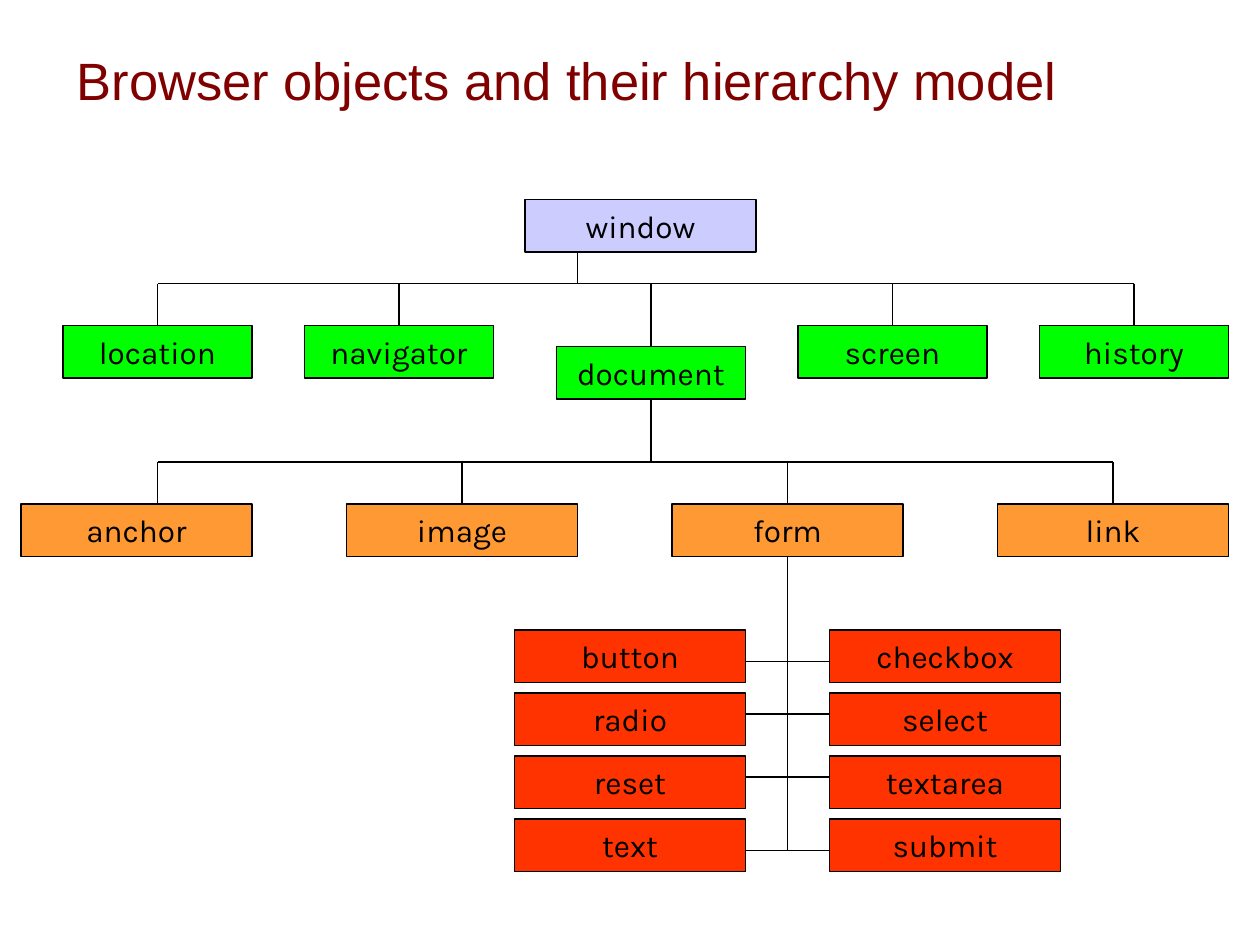
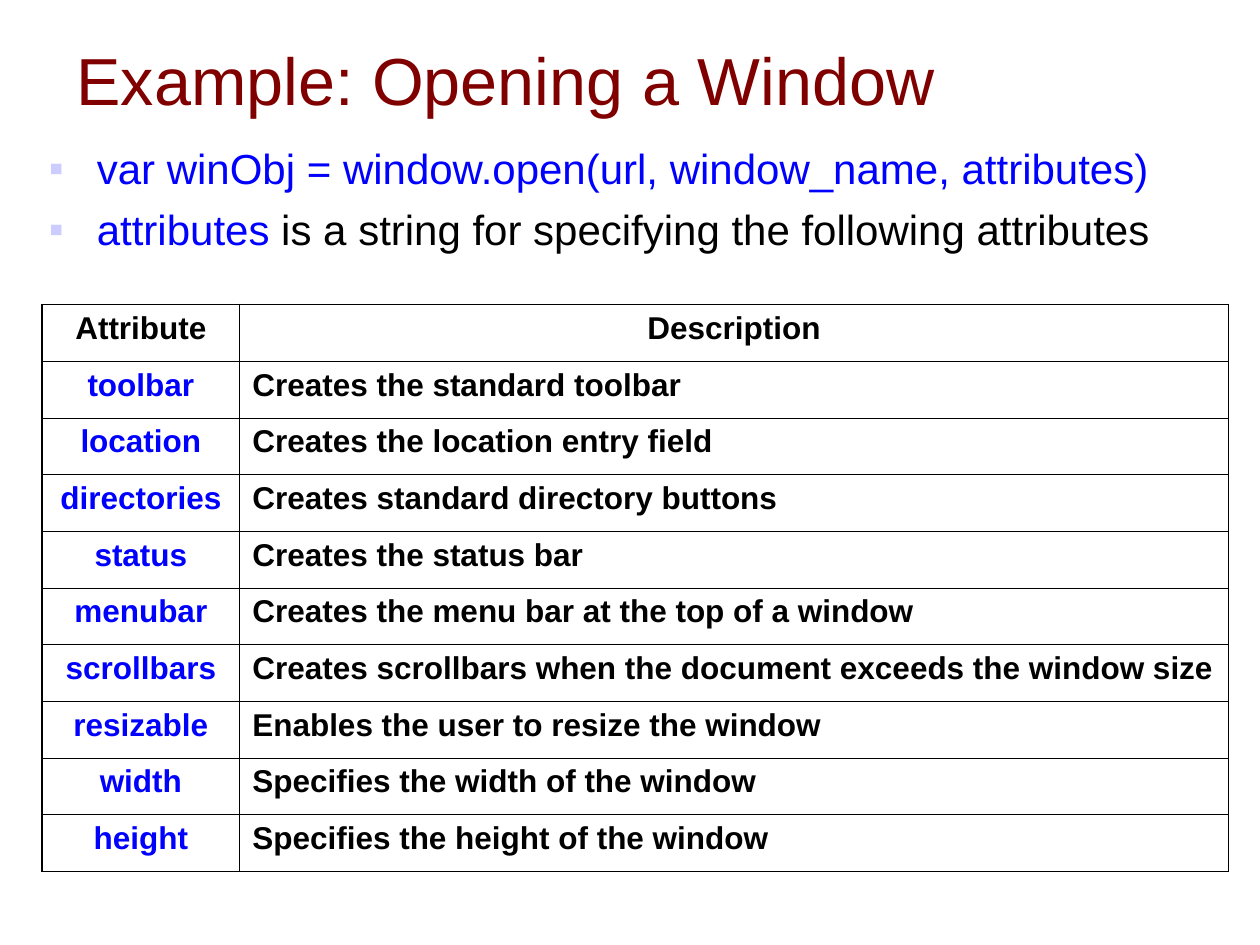
from dataclasses import dataclass

from lxml.etree import SubElement as sub
from pptx import Presentation as Deck
from pptx.dml.color import RGBColor as RGB
from pptx.enum.shapes import MSO_CONNECTOR as LINK, MSO_SHAPE as FORM
from pptx.enum.text import MSO_ANCHOR as HOLD, PP_ALIGN as SIDE
from pptx.oxml.ns import qn
from pptx.util import Inches, Pt


# Theme: colours, fonts and type sizes
@dataclass(frozen=True)
class Theme:
    ink: str = "000000"
    title: str = "800000"
    code: str = "0000FF"
    mark: str = "CCCCFF"
    root: str = "CCCCFF"
    child: str = "00FF00"
    leaf: str = "FF9933"
    field: str = "FF3300"
    sans: str = "Arial"
    node: str = "Karla"
    small: float = 18
    body: float = 24
    rule: float = 0.75
    thin: float = 0.45
    thick: float = 1.08


LOOK = Theme()

# The grid has 12 units to the inch: 120 columns by 90 rows
COLS, ROWS = 120, 90


def grid(units: float) -> int:
    return Inches(units / 12)


@dataclass(frozen=True)
class Node:
    name: str
    left: float
    top: float
    fill: str
    width: float = 22
    height: float = 5

    @property
    def mid(self) -> float:
        return self.left + self.width / 2

    @property
    def base(self) -> float:
        return self.top + self.height


@dataclass(frozen=True)
class Line:
    x1: float
    y1: float
    x2: float
    y2: float


# Shared drawing functions
def write(para, text: str, *, size: float = LOOK.small, font: str = LOOK.sans,
          color: str = LOOK.ink, bold: bool = False, side=SIDE.LEFT) -> None:
    para.alignment = side
    run = para.add_run()
    run.text = text
    run.font.size, run.font.name, run.font.bold = Pt(size), font, bold
    run.font.color.rgb = RGB.from_string(color)


def add_frame(slide, left: float, top: float, width: float, height: float):
    box = slide.shapes.add_textbox(*map(grid, (left, top, width, height)))
    box.text_frame.word_wrap = True
    return box.text_frame


def add_title(slide, text: str, size: float) -> None:
    frame = add_frame(slide, 6.12, 2.16, 108, 10.8)
    frame.vertical_anchor = HOLD.MIDDLE
    write(frame.paragraphs[0], text, size=size, color=LOOK.title)


def draw_node(slide, node: Node) -> None:
    area = map(grid, (node.left, node.top, node.width, node.height))
    box = slide.shapes.add_shape(FORM.RECTANGLE, *area)
    box.shadow.inherit = False
    box.fill.solid()
    box.fill.fore_color.rgb = RGB.from_string(node.fill)
    box.line.color.rgb = RGB.from_string(LOOK.ink)
    box.line.width = Pt(LOOK.rule)
    frame = box.text_frame
    frame.word_wrap = False
    frame.vertical_anchor = HOLD.MIDDLE
    write(frame.paragraphs[0], node.name, font=LOOK.node, side=SIDE.CENTER)


def draw_line(slide, line: Line) -> None:
    ends = map(grid, (line.x1, line.y1, line.x2, line.y2))
    link = slide.shapes.add_connector(LINK.STRAIGHT, *ends)
    link.line.color.rgb = RGB.from_string(LOOK.ink)
    link.line.width = Pt(LOOK.rule)
    sub(link._element.spPr, qn("a:effectLst"))


def add_mark(para) -> None:
    props = para._p.get_or_add_pPr()
    props.set("marL", str(Inches(0.38)))
    props.set("indent", str(-Inches(0.38)))
    sub(sub(props, qn("a:buClr")), qn("a:srgbClr"), val=LOOK.mark)
    sub(props, qn("a:buFont"), typeface=LOOK.sans)
    sub(props, qn("a:buChar"), char="▪")


def edge_cell(cell, left: bool, right: bool, top: bool, base: bool) -> None:
    """Rule each side, thick where it lies on the table's rim."""
    props = cell._tc.get_or_add_tcPr()
    for key, rim in zip("LRTB", (left, right, top, base)):
        width = Pt(LOOK.thick if rim else LOOK.thin)
        line = sub(props, qn(f"a:ln{key}"), w=str(width))
        sub(sub(line, qn("a:solidFill")), qn("a:srgbClr"), val=LOOK.ink)
    cell.fill.background()


# Slide 1: the tree of browser objects
def build_tree(slide) -> None:
    add_title(slide, "Browser objects and their hierarchy model", 30)

    # Nodes, level by level
    root = Node("window", 50, 19, LOOK.root)
    kids = [Node(name, left, top, LOOK.child, width=18) for name, left, top in (
        ("location", 6, 31), ("navigator", 29, 31), ("document", 53, 33),
        ("screen", 76, 31), ("history", 99, 31))]
    leaves = [Node(name, 2 + 31 * i, 48, LOOK.leaf)
              for i, name in enumerate(("anchor", "image", "form", "link"))]
    fields = [Node(name, left, 60 + 6 * i, LOOK.field)
              for left, names in ((49, ("button", "radio", "reset", "text")),
                                  (79, ("checkbox", "select", "textarea", "submit")))
              for i, name in enumerate(names)]
    page, form = kids[2], leaves[2]

    # Stems, bars, drops and rungs
    bar1, bar2, foot = 27, 44, 81
    first, last = kids[0].mid, leaves[-1].mid
    lines = [Line(55, root.base, 55, bar1),
             Line(first, bar1, kids[-1].mid, bar1),
             Line(page.mid, page.base, page.mid, bar2),
             Line(first, bar2, last, bar2),
             Line(form.mid, form.base, form.mid, foot)]
    lines += [Line(kid.mid, bar1, kid.mid, kid.top) for kid in kids]
    drops = [first] + [leaf.mid for leaf in leaves[1:]]
    lines += [Line(x, bar2, x, form.top) for x in drops]
    lines += [Line(71, y, 79, y) for y in (63, 68, 74, foot)]

    for node in (root, *kids, *leaves, *fields):
        draw_node(slide, node)
    for line in lines:
        draw_line(slide, line)


# Slide 2: the call and its table
FACTS = (
    ("Attribute", "Description"),
    ("toolbar", "Creates the standard toolbar"),
    ("location", "Creates the location entry field"),
    ("directories", "Creates standard directory buttons"),
    ("status", "Creates the status bar"),
    ("menubar", "Creates the menu bar at the top of a window"),
    ("scrollbars", "Creates scrollbars when the document exceeds the window size"),
    ("resizable", "Enables the user to resize the window"),
    ("width", "Specifies the width of the window"),
    ("height", "Specifies the height of the window"),
)


def build_call(slide) -> None:
    add_title(slide, "Example: Opening a Window", 38)

    # Bullets
    frame = add_frame(slide, 3.48, 13, 113.4, 14)
    call, note = frame.paragraphs[0], frame.add_paragraph()
    for para in (call, note):
        add_mark(para)
    note.space_before = Pt(6)
    write(call, "var winObj = window.open(url, window_name, attributes)",
          size=LOOK.body, color=LOOK.code)
    write(note, "attributes", size=LOOK.body, color=LOOK.code)
    write(note, " is a string for specifying the following attributes",
          size=LOOK.body)

    # Table
    wide, high, end = 113, 54, len(FACTS) - 1
    table = slide.shapes.add_table(
        len(FACTS), 2, *map(grid, (4, 29, wide, high))).table
    table.first_row = table.horz_banding = False
    for col, share in zip(table.columns, (1 / 6, 5 / 6)):
        col.width = grid(wide * share)
    for r, row in enumerate(FACTS):
        table.rows[r].height = grid(high / len(FACTS))
        for c, text in enumerate(row):
            cell = table.cell(r, c)
            edge_cell(cell, c == 0, c == 1, r == 0, r == end)
            key, head = c == 0, r == 0
            write(cell.text_frame.paragraphs[0], text, bold=True,
                  color=LOOK.code if key and not head else LOOK.ink,
                  side=SIDE.CENTER if key or head else SIDE.LEFT)


def main() -> None:
    deck = Deck()
    deck.slide_width, deck.slide_height = grid(COLS), grid(ROWS)
    for build in (build_tree, build_call):
        build(deck.slides.add_slide(deck.slide_layouts[6]))
    deck.save("out.pptx")


if __name__ == "__main__":
    main()
